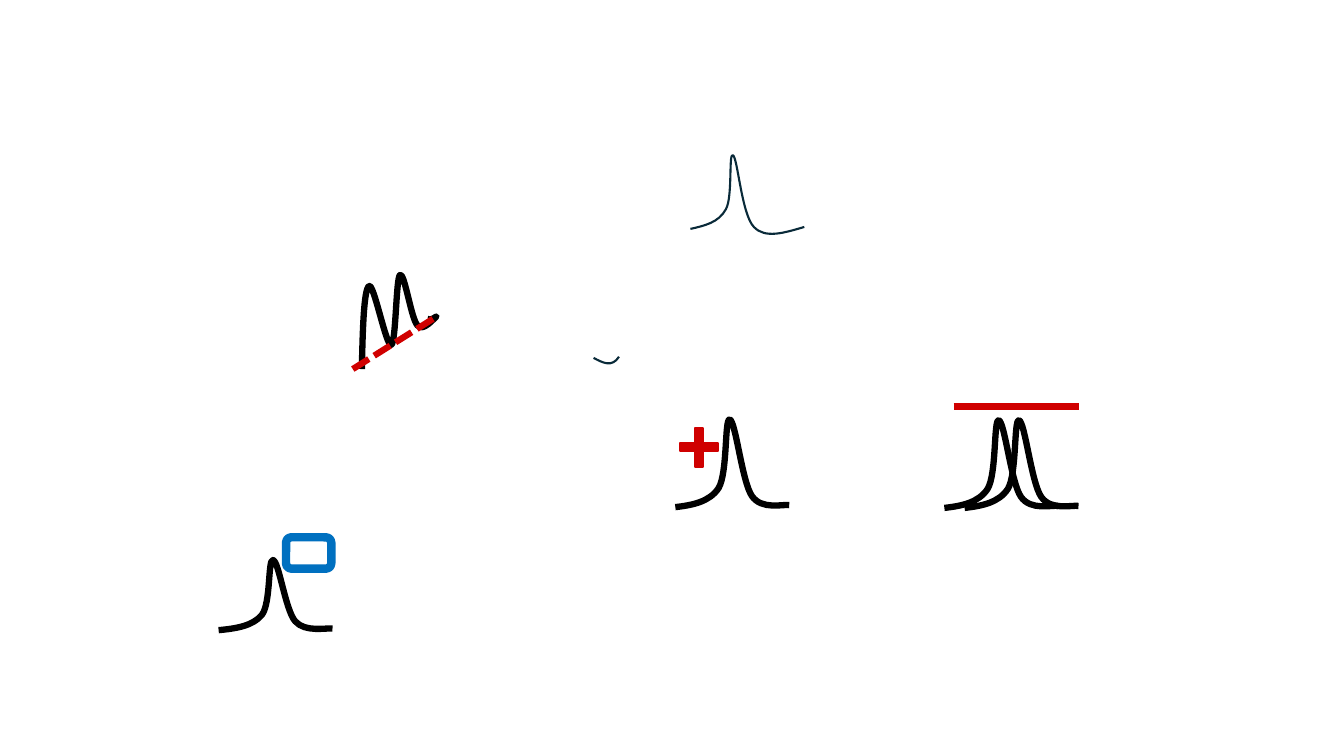
from lxml import etree
from pptx import Presentation
from pptx.dml.color import RGBColor
from pptx.enum.dml import MSO_LINE_DASH_STYLE as DASH
from pptx.enum.shapes import MSO_CONNECTOR, MSO_SHAPE
from pptx.oxml.ns import qn
from pptx.util import Cm, Pt

BLACK = RGBColor(0x00, 0x00, 0x00)
NAVY = RGBColor(0x09, 0x2A, 0x39)
RED = RGBColor(0xD0, 0x00, 0x00)
DARK_RED = RGBColor(0xCF, 0x00, 0x00)
BLUE = RGBColor(0x00, 0x70, 0xC0)

# Each curve is a start point followed by three Bézier points per segment, in cm.
PEAK = [(0, 0), (0.43, -0.05), (0.86, -0.13), (1.09, -0.48),
        (1.32, -0.86), (1.24, -2.24), (1.37, -2.21),
        (1.52, -2.18), (1.68, -0.64), (1.93, -0.28),
        (2.18, 0.08), (2.72, -0.08), (2.87, -0.05)]
DOUBLE_PEAK = [(9.12, 9.3), (9.14, 8.31), (9.17, 7.29), (9.3, 7.21),
               (9.42, 7.11), (9.73, 8.74), (9.86, 8.69),
               (9.98, 8.66), (9.98, 7.01), (10.08, 6.93),
               (10.19, 6.83), (10.36, 8.03), (10.52, 8.2),
               (10.67, 8.38), (10.95, 8), (11, 7.98),
               (11.05, 7.92), (10.8, 8.15), (10.87, 7.98)]
VALLEY = [(14.96, 9.02), (15.19, 9.14), (15.42, 9.27), (15.6, 8.99)]
THIN_PEAK = [(17.4, 5.77), (17.75, 5.69), (18.11, 5.61), (18.29, 5.28),
             (18.47, 4.98), (18.36, 3.84), (18.47, 3.91),
             (18.59, 3.96), (18.69, 5.41), (19, 5.72),
             (19.28, 6.02), (19.76, 5.87), (20.27, 5.72)]


def add_curve(shapes, points, color=BLACK, width=4.5, origin=(0, 0), stretch=1):
    """Draw an open Bézier curve, moved to origin and stretched vertically."""
    start, *rest = [(Cm(origin[0] + x), Cm(origin[1] + stretch * y)) for x, y in points]
    builder = shapes.build_freeform(*start)
    builder.add_line_segments(rest, close=False)
    curve = builder.convert_to_shape()
    curve.shadow.inherit = False
    curve.fill.background()
    curve.line.color.rgb = color
    curve.line.width = Pt(width)
    # Turn every three straight segments into one cubic segment.
    outline = curve.element.find(".//" + qn("a:path"))
    segments = outline.findall(qn("a:lnTo"))
    for first in range(0, len(segments), 3):
        cubic = etree.SubElement(outline, qn("a:cubicBezTo"))
        for segment in segments[first:first + 3]:
            cubic.append(segment[0])
            outline.remove(segment)


def add_red_line(shapes, start, end):
    line = shapes.add_connector(MSO_CONNECTOR.STRAIGHT, *map(Cm, start + end))
    line.line.color.rgb = RED
    line.line.width = Pt(4.5)
    etree.SubElement(line.element.spPr, qn("a:effectLst"))
    return line


deck = Presentation()
deck.slide_width, deck.slide_height = Cm(33.87), Cm(19.05)
page = deck.slides.add_slide(deck.slide_layouts[6])

# Two peaks on a sloping baseline
baseline_icon = page.shapes.add_group_shape().shapes
add_curve(baseline_icon, DOUBLE_PEAK)
baseline = add_red_line(baseline_icon, (8.89, 9.3), (11, 7.98))
baseline.line.dash_style = DASH.SQUARE_DOT

# Thin outlines
for points in (VALLEY, THIN_PEAK):
    add_curve(page.shapes, points, NAVY, 1.5)

# Peak with a plus sign
add_icon = page.shapes.add_group_shape().shapes
add_curve(add_icon, PEAK, origin=(17.02, 12.78))
for angle in (0, 90):
    bar = add_icon.add_shape(MSO_SHAPE.RECTANGLE, Cm(17.52), Cm(10.79), Cm(0.2), Cm(0.97))
    bar.rotation = angle
    bar.shadow.inherit = False
    bar.fill.solid()
    bar.fill.fore_color.rgb = RED
    bar.line.color.rgb = DARK_RED
    bar.line.width = Pt(1.5)

# Overlapping peaks under a level line
align_icon = page.shapes.add_group_shape().shapes
add_red_line(align_icon, (24.03, 10.24), (27.18, 10.24))
for left in (23.8, 24.31):
    add_curve(align_icon, PEAK, origin=(left, 12.8))

# Peak with a label frame
label_icon = page.shapes.add_group_shape().shapes
add_curve(label_icon, PEAK, origin=(5.51, 15.88), stretch=0.8)
frame = label_icon.add_shape(MSO_SHAPE.ROUNDED_RECTANGLE, Cm(7.21), Cm(13.54), Cm(1.14), Cm(0.79))
frame.shadow.inherit = False
frame.fill.background()
frame.line.color.rgb = BLUE
frame.line.width = Pt(6)

deck.save("out.pptx")
